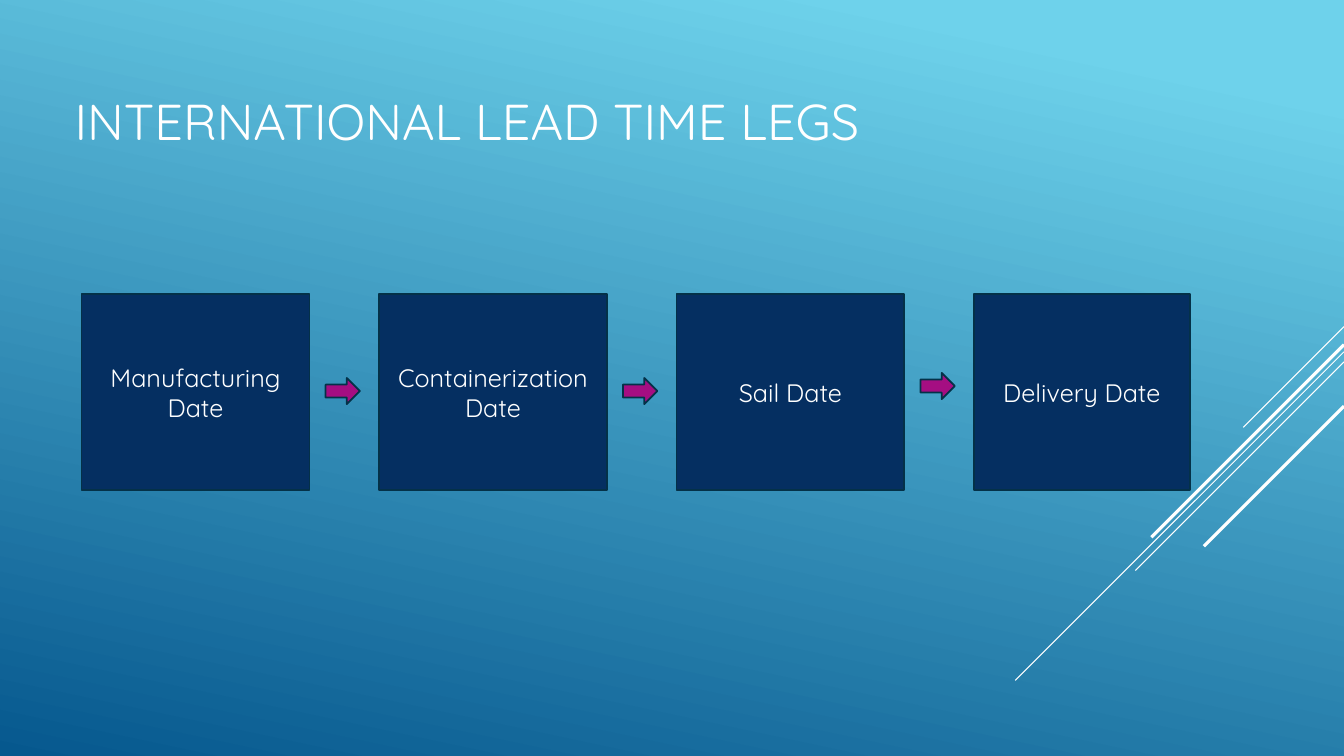
from dataclasses import dataclass

from lxml.etree import SubElement
from pptx import Presentation
from pptx.dml.color import RGBColor as Rgb
from pptx.enum.shapes import MSO_CONNECTOR as Link, MSO_SHAPE as Form
from pptx.enum.text import MSO_ANCHOR as Anchor, PP_ALIGN as Align
from pptx.oxml.ns import qn
from pptx.util import Inches, Pt


@dataclass(frozen=True)
class Theme:
    font: str = "Quicksand"
    white: str = "FFFFFF"
    light: str = "6ED2EB"
    deep: str = "06588E"
    navy: str = "052F61"
    edge: str = "043148"
    plum: str = "A50E82"
    head: int = 36
    body: int = 18
    rim: float = 1.25


class Page:
    def __init__(self, slide, theme):
        self.slide, self.theme = slide, theme

    def backdrop(self):
        fill = self.slide.background.fill
        fill.gradient()
        fill.gradient_angle = 258
        stops = ((0.1, self.theme.light), (1, self.theme.deep))
        for stop, (place, color) in zip(fill.gradient_stops, stops):
            stop.position = place
            stop.color.rgb = Rgb.from_string(color)

    def label(self, shape, text, size, align):
        frame = shape.text_frame
        frame.word_wrap = True
        frame.vertical_anchor = Anchor.MIDDLE
        frame.text = text
        para = frame.paragraphs[0]
        para.alignment = align
        style = {"name": self.theme.font, "size": Pt(size), "bold": False}
        for key, value in style.items():
            setattr(para.font, key, value)
        para.font.color.rgb = Rgb.from_string(self.theme.white)

    def title(self, text, left, top, width, height):
        shape = self.slide.shapes.title
        spot = {"left": left, "top": top, "width": width, "height": height}
        for key, value in spot.items():
            setattr(shape, key, Inches(value))
        self.label(shape, text, self.theme.head, Align.LEFT)

    def block(self, form, color, *spot):
        shape = self.slide.shapes.add_shape(form, *map(Inches, spot))
        shape.shadow.inherit = False
        shape.fill.solid()
        shape.fill.fore_color.rgb = Rgb.from_string(color)
        shape.line.color.rgb = Rgb.from_string(self.theme.edge)
        shape.line.width = Pt(self.theme.rim)
        return shape

    def step(self, text, *spot):
        shape = self.block(Form.RECTANGLE, self.theme.navy, *spot)
        self.label(shape, text, self.theme.body, Align.CENTER)

    def arrow(self, *spot):
        self.block(Form.RIGHT_ARROW, self.theme.plum, *spot)

    def line(self, weight, *ends):
        line = self.slide.shapes.add_connector(Link.STRAIGHT, *map(Inches, ends))
        line.line.color.rgb = Rgb.from_string(self.theme.white)
        line.line.width = Pt(weight)
        SubElement(line._element.spPr, qn("a:effectLst"))


def main():
    deck = Presentation()
    wide = 13.33
    deck.slide_width, deck.slide_height = Inches(wide), Inches(7.5)
    page = Page(deck.slides.add_slide(deck.slide_layouts[5]), Theme())
    page.backdrop()

    # Diagonal lines running in from the right edge
    rays = ((3.24, 1, 0.75), (3.49, 3.26, 0.75), (3.59, 2.07, 0.75),
            (3.42, 1.91, 2.25), (4.03, 1.39, 2.25))
    for top, run, weight in rays:
        page.line(weight, wide, top, wide - run, top + run)

    page.title("INTERNATIONAL LEAD TIME LEGS", 0.64, 0.37, 9.33, 1.65)

    # Steps in a row, each at the same pitch
    left, pitch = 0.81, 2.95
    steps = (("Manufacturing Date", 2.26), ("Containerization Date", 2.26),
             ("Sail Date", 2.26), ("Delivery Date", 2.14))
    for i, (text, width) in enumerate(steps):
        page.step(text, left + i * pitch, 2.92, width, 1.94)

    # Arrows in the gaps; the last sits slightly higher
    for i, top in enumerate((3.75, 3.75, 3.7)):
        page.arrow(3.23 + i * pitch, top, 0.34, 0.26)

    deck.save("out.pptx")


if __name__ == "__main__":
    main()
